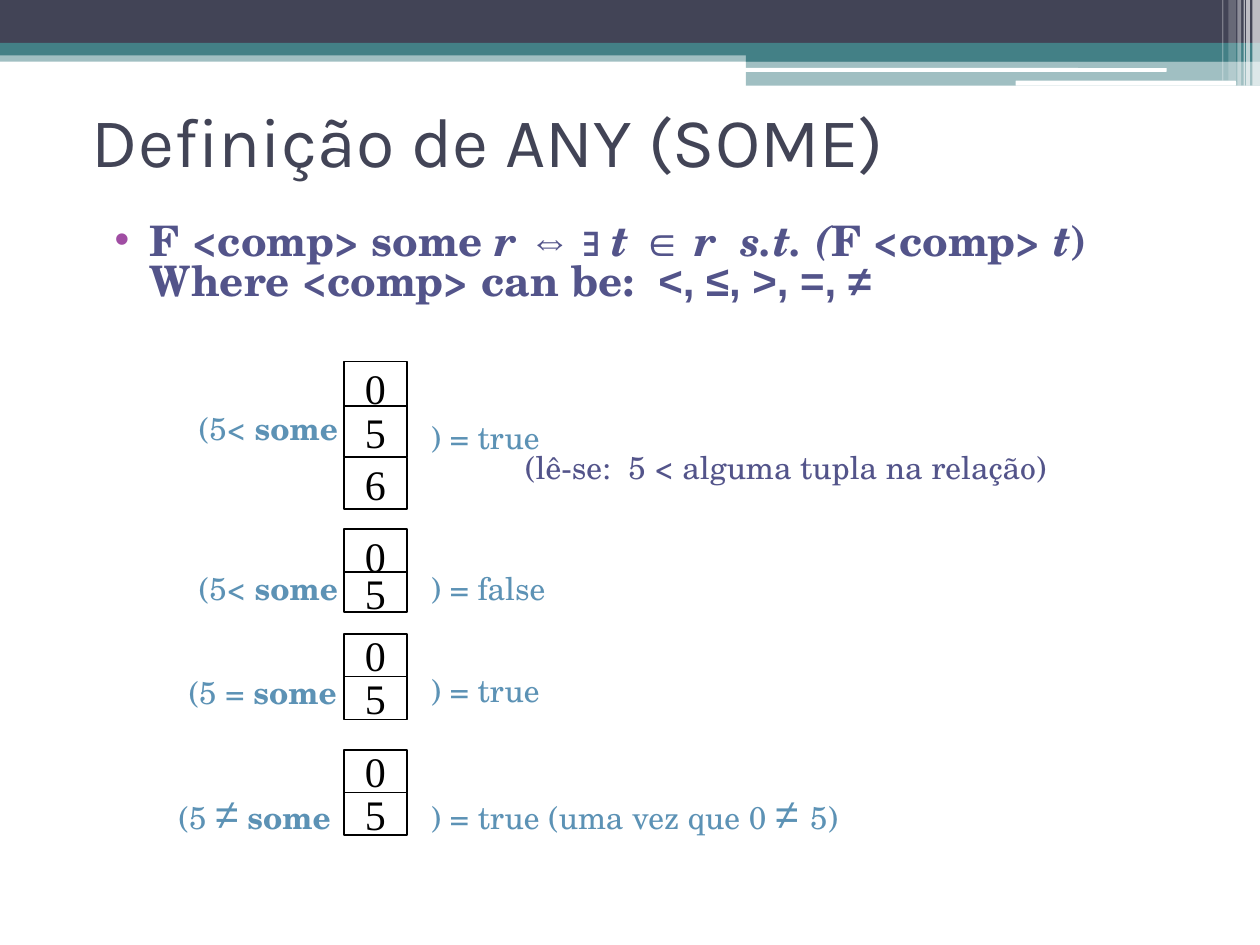
from pptx import Presentation
from pptx.dml.color import RGBColor
from pptx.enum.shapes import MSO_SHAPE as Shape
from pptx.enum.text import MSO_ANCHOR as Anchor, MSO_AUTO_SIZE as Fit, PP_ALIGN as Align
from pptx.oxml.ns import qn
from pptx.util import Inches, Pt
from lxml.etree import SubElement as Sub

DARK = RGBColor(0x42, 0x44, 0x56)
TEAL = RGBColor(0x43, 0x80, 0x86)
WHITE = RGBColor(0xFF, 0xFF, 0xFF)
BLACK = RGBColor(0x00, 0x00, 0x00)
INDIGO = RGBColor(0x53, 0x54, 0x8A)
BLUE = RGBColor(0x5C, 0x92, 0xB5)
SERIF, SANS = "TeX Gyre Schola", "Arial"

deck = Presentation()
deck.slide_width, deck.slide_height = Inches(10), Inches(7.5)
slide = deck.slides.add_slide(deck.slide_layouts[1])
shapes = slide.shapes
title, body = slide.placeholders


def add_run(para, text, size, font, color, bold=None, slant=None):
    run = para.add_run()
    run.text = text
    run.font.size, run.font.name = Pt(size), font
    run.font.color.rgb = color
    run.font.bold, run.font.italic = bold, slant


def add_box(kind, place, color, alpha=100):
    box = shapes.add_shape(kind, *map(Inches, place))
    box.shadow.inherit = False
    box.fill.solid()
    box.fill.fore_color.rgb = color
    box.line.fill.background()
    if alpha < 100:
        tint = box.fill._xPr.find(".//" + qn("a:srgbClr"))
        Sub(tint, qn("a:alpha")).set("val", str(alpha * 1000))
    return box


for place, color, alpha in [
    ((0, 0.4, 10, 0.09), TEAL, 50),
    ((0, 0, 10, 0.34), DARK, 100),
    ((0, 0.34, 10, 0.1), TEAL, 100),
    ((5.92, 0.39, 4.08, 0.1), TEAL, 100),
    ((5.92, 0.48, 4.08, 0.2), TEAL, 50),
]:
    add_box(Shape.RECTANGLE, place, color, alpha)

for place in [(5.91, 0.54, 3.35, 0.03), (8.06, 0.64, 1.75, 0.04)]:
    add_box(Shape.ROUNDED_RECTANGLE, place, WHITE)

for left, width, height, alpha in [
    (9.94, 0.06, 0.68, 65), (9.89, 0.03, 0.68, 65), (9.87, 0.01, 0.68, 60),
    (9.82, 0.03, 0.68, 40), (9.75, 0.06, 0.64, 20), (9.7, 0.01, 0.64, 30),
]:
    add_box(Shape.RECTANGLE, (left, 0, width, height), WHITE, alpha)

title.left, title.top, title.width, title.height = map(Inches, (0.63, 0.82, 8.83, 0.67))
frame = title.text_frame
frame.auto_size, frame.vertical_anchor = Fit.NONE, Anchor.BOTTOM
para = frame.paragraphs[0]
para.alignment = Align.LEFT
add_run(para, "Definição de ANY (SOME)", 40, "Karla", DARK)

body.left, body.top, body.width, body.height = map(Inches, (0.69, 1.73, 9, 0.78))
frame = body.text_frame
frame.auto_size = Fit.NONE
para = frame.paragraphs[0]
para.line_spacing, para.space_before = 0.8, Pt(3)
props = para._p.get_or_add_pPr()
props.set("marL", str(Inches(0.4)))
props.set("indent", str(Inches(-0.28)))
Sub(Sub(props, qn("a:buClr")), qn("a:srgbClr")).set("val", "A04DA3")
Sub(props, qn("a:buChar")).set("char", "•")
for text, font, slant in [
    ("F <comp> some ", SERIF, False), ("r ", SERIF, True),
    ("⇔ ∃ ", SANS, False), ("t ", SERIF, True), ("∈ ", SANS, False),
    ("r  s.t. (", SERIF, True), ("F <comp> ", SERIF, False),
    ("t", SERIF, True), (")", SERIF, False),
]:
    add_run(para, text, 24, font, INDIGO, True, slant)
para.add_line_break()
add_run(para, "Where <comp> can be:  ", 24, SERIF, INDIGO, True)
add_run(para, "<, ≤, >, =, ≠", 24, SANS, INDIGO, True)

for top, height, digit in [
    (2.87, 0.41, "0"), (3.22, 0.41, "5"), (3.63, 0.41, "6"),
    (4.2, 0.42, "0"), (4.54, 0.32, "5"),
    (5.03, 0.34, "0"), (5.37, 0.34, "5"),
    (5.95, 0.34, "0"), (6.29, 0.34, "5"),
]:
    cell = add_box(Shape.RECTANGLE, (2.73, top, 0.5, height), WHITE)
    cell.line.color.rgb, cell.line.width = BLACK, Pt(1)
    frame = cell.text_frame
    frame.word_wrap, frame.vertical_anchor = False, Anchor.MIDDLE
    para = frame.paragraphs[0]
    para.alignment = Align.CENTER
    add_run(para, digit, 24, "Times New Roman", BLACK)

word = ("some", 18, SERIF, BLUE, True)
less = [("(5< ", 18, SERIF, BLUE), word]
true = [(") = true", 18, SERIF, BLUE)]
for place, runs in [
    ((1.48, 3.2, 1.33, 0.4), less),
    ((3.32, 3.27, 1.14, 0.4), true),
    ((4.07, 3.51, 5.33, 0.4),
     [("(lê-se:  5 < alguma tupla na relação)", 18, SERIF, INDIGO)]),
    ((1.48, 4.47, 1.33, 0.4), less),
    ((3.32, 4.47, 1.33, 0.4), [(") = false", 18, SERIF, BLUE)]),
    ((1.4, 5.29, 1.67, 0.4), [("(5 = ", 18, SERIF, BLUE), word]),
    ((3.32, 5.28, 1.33, 0.4), true),
    ((1.32, 6.2, 1.58, 0.5),
     [("(5 ", 18, SERIF, BLUE), ("≠", 24, SANS, BLUE), (" ", 18, SERIF, BLUE), word]),
    ((3.32, 6.2, 3.89, 0.5),
     [(") = true (uma vez que 0 ", 18, SERIF, BLUE), ("≠ ", 24, SANS, BLUE),
      ("5)", 18, SERIF, BLUE)]),
]:
    frame = shapes.add_textbox(*map(Inches, place)).text_frame
    frame.word_wrap, frame.auto_size = True, Fit.SHAPE_TO_FIT_TEXT
    para = frame.paragraphs[0]
    para.space_before = Pt(11.2)
    for run in runs:
        add_run(para, *run)

deck.save("out.pptx")
